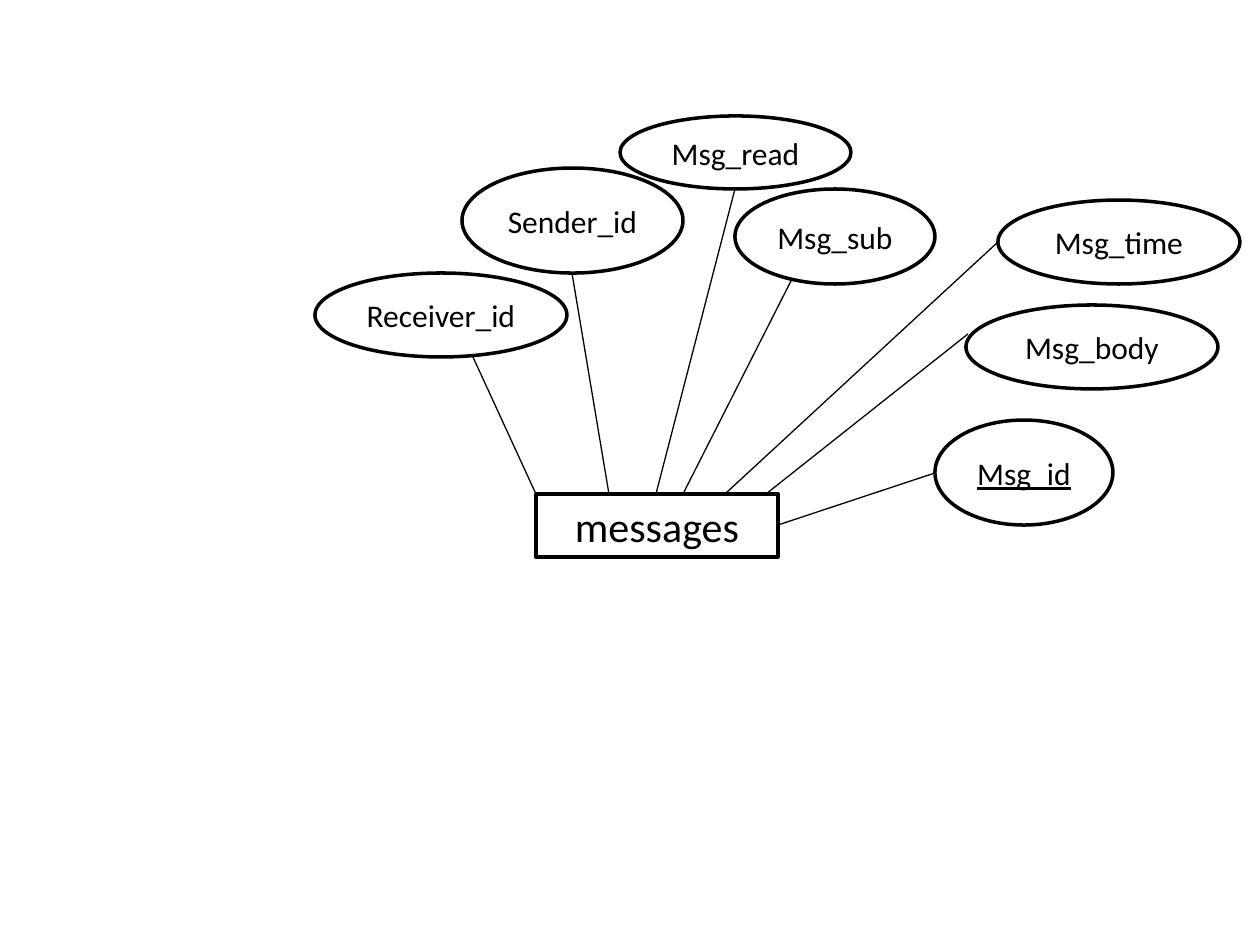
from pptx import Presentation
from pptx.dml.color import RGBColor
from pptx.enum.shapes import MSO_CONNECTOR as Link, MSO_SHAPE as Kind
from pptx.enum.text import MSO_ANCHOR as Anchor, PP_ALIGN as Align
from pptx.oxml.ns import qn
from pptx.util import Emu, Pt
from lxml.etree import SubElement

SCALE = 914400 // 126
WHITE, BLACK = "FFFFFF", "000000"


def px(*lengths):
    """Turn pixels into EMU."""
    return [Emu(n * SCALE) for n in lengths]


def color(code):
    """Turn a hex string into a colour."""
    return RGBColor.from_string(code)


class Diagram:
    """Holds the style and the current slide."""
    font, ink = "Calibri", BLACK
    edge, thin = 2, 0.75

    def __init__(self, slide):
        """Keep the slide to draw on."""
        self.shapes = slide.shapes

    def node(self, kind, text, box, size=18, fill=None, key=False):
        """Add an outlined shape with centred text."""
        shape = self.shapes.add_shape(kind, *px(*box))
        shape.shadow.inherit = False
        if fill:
            shape.fill.solid()
            shape.fill.fore_color.rgb = color(fill)
        else:
            shape.fill.background()
        shape.line.color.rgb = color(self.ink)
        shape.line.width = Pt(self.edge)
        frame = shape.text_frame
        frame.word_wrap = True
        frame.vertical_anchor = Anchor.MIDDLE
        para = frame.paragraphs[0]
        para.text = text
        para.alignment = Align.CENTER
        font = para.font
        font.name, font.size = self.font, Pt(size)
        font.color.rgb = color(self.ink)
        if key:
            font.underline = True

    def entity(self, text, box):
        """Add an entity rectangle."""
        self.node(Kind.RECTANGLE, text, box, size=24, fill=WHITE)

    def field(self, text, box, fill=None, key=False):
        """Add an attribute ellipse, underlined for a key."""
        self.node(Kind.OVAL, text, box, fill=fill, key=key)

    def link(self, start, end):
        """Add a thin straight line."""
        line = self.shapes.add_connector(Link.STRAIGHT, *px(*start, *end))
        line.line.color.rgb = color(self.ink)
        line.line.width = Pt(self.thin)
        SubElement(line._element.spPr, qn("a:effectLst"))


deck = Presentation()
deck.slide_width, deck.slide_height = px(1260, 945)
art = Diagram(deck.slides.add_slide(deck.slide_layouts[6]))

TOP = 494
art.entity("messages", (536, TOP, 242, 63))

# name, box, fill, key, line start, line end
fields = [
    ("Msg_id", (935, 420, 178, 105), None, True, (935, 473), (778, 525)),
    ("Receiver_id", (315, 273, 252, 84), WHITE, False, (473, 357), (536, TOP)),
    ("Sender_id", (462, 168, 221, 105), None, False, (572, 273), (609, TOP)),
    ("Msg_read", (620, 116, 231, 73), None, False, (735, 189), (656, TOP)),
    ("Msg_sub", (735, 189, 200, 95), None, False, (791, 281), (683, TOP)),
    ("Msg_time", (998, 200, 242, 84), None, False, (998, 242), (725, TOP)),
    ("Msg_body", (966, 305, 252, 84), WHITE, False, (968, 334), (766, TOP)),
]
for name, box, fill, key, *_ in fields:
    art.field(name, box, fill, key)
for *_, start, end in fields:
    art.link(start, end)

deck.save("out.pptx")
